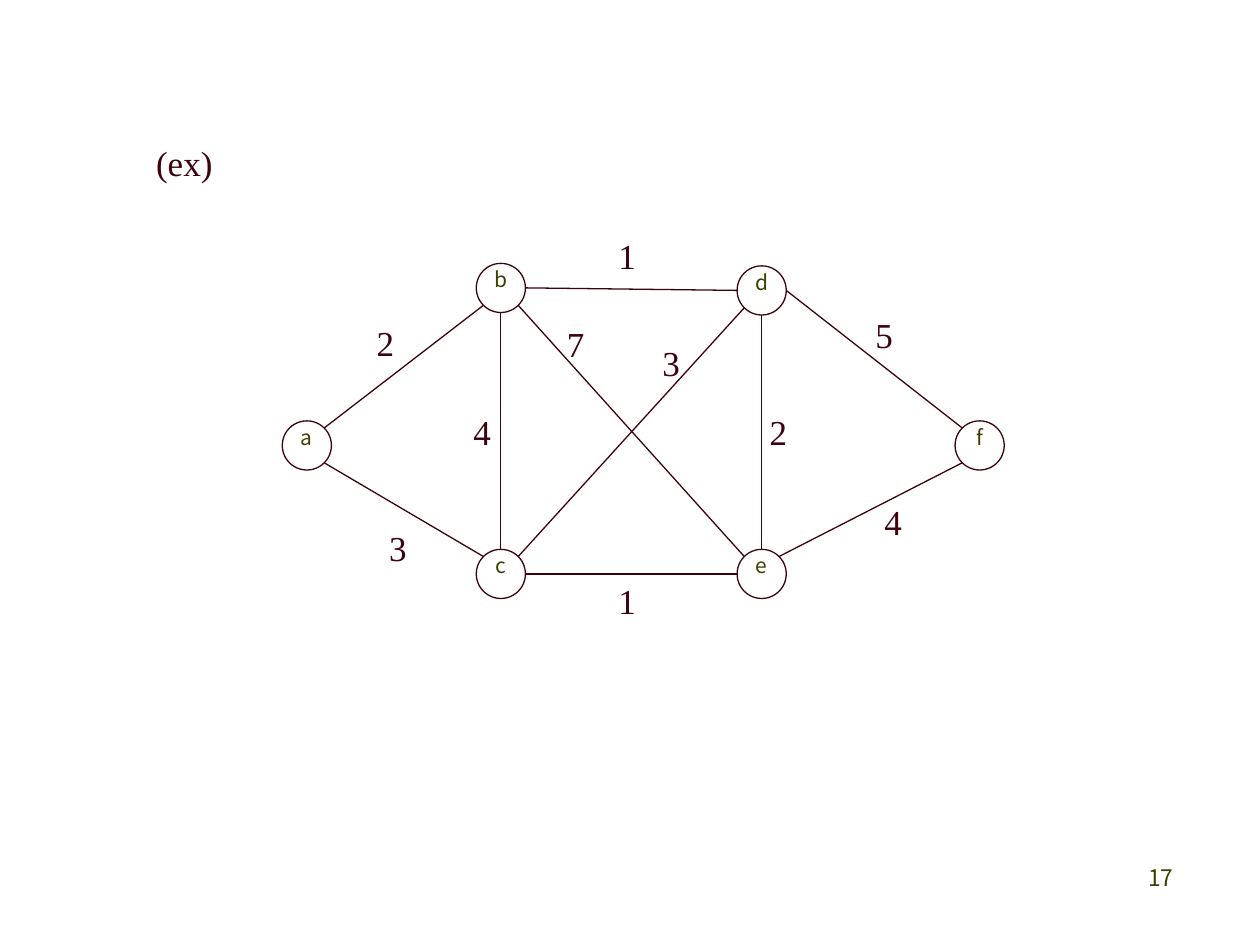
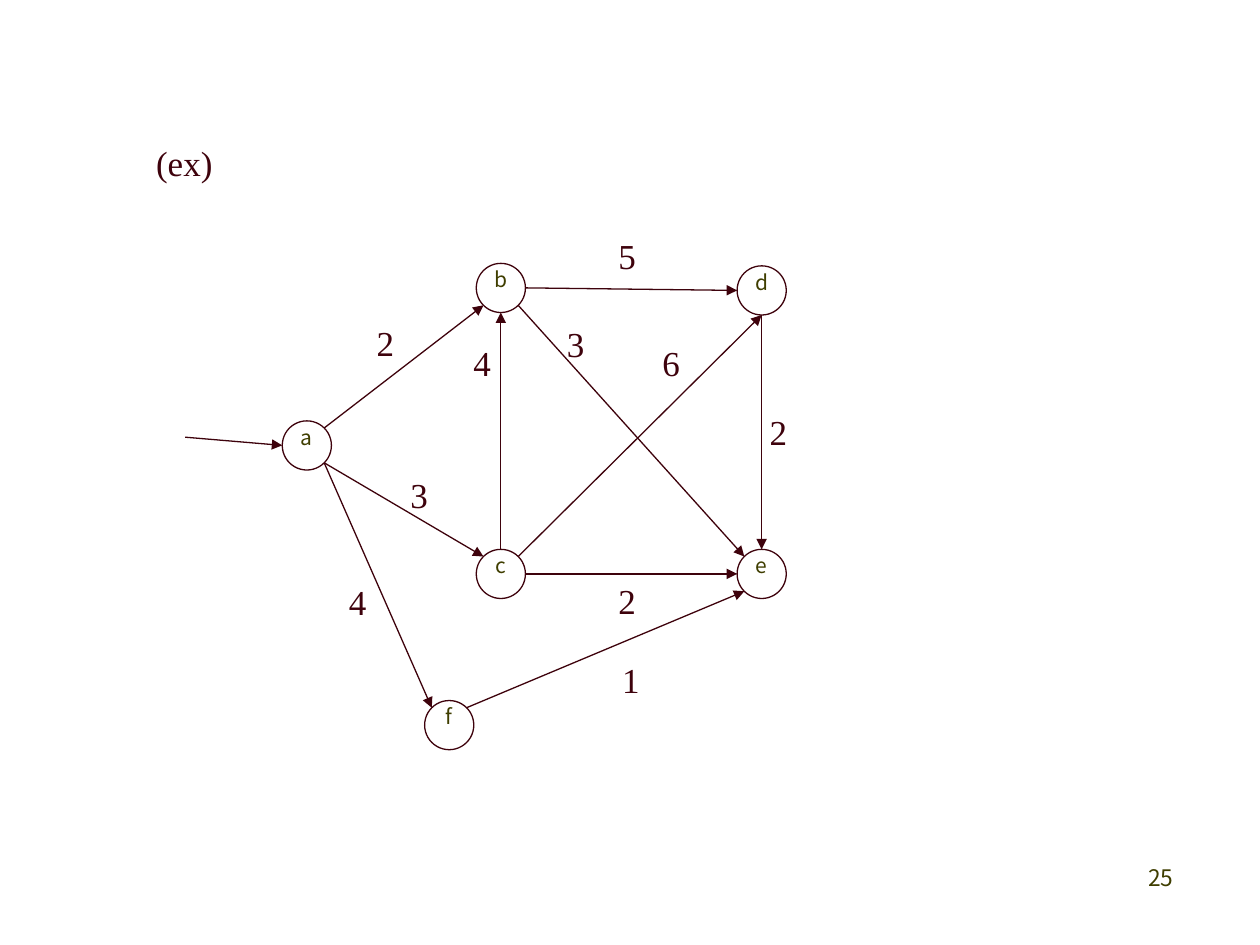
"""Builds two slides that show weighted graphs."""
from math import cos, radians, sin

from lxml.etree import SubElement
from pptx import Presentation
from pptx.dml.color import RGBColor
from pptx.enum.shapes import MSO_CONNECTOR, MSO_SHAPE
from pptx.enum.text import MSO_ANCHOR, MSO_AUTO_SIZE, PP_ALIGN
from pptx.oxml.ns import qn
from pptx.util import Inches, Pt

COLOURS = {"ink": "3E020C", "olive": "3F3E00"}
SANS, SERIF = "Noto Sans CJK KR", "Times New Roman"
DIAMETER = 0.39

ANGLES = {"E": 0, "SE": 45, "S": 90, "SW": 135, "W": 180, "NW": 225, "N": 270, "NE": 315}

NODES = {
    "a": (2.24, 3.34),
    "b": (3.78, 2.09),
    "c": (3.78, 4.36),
    "d": (5.85, 2.11),
    "e": (5.85, 4.36),
}

ROUTES = {
    "ab": ("NE", "SW", 2.89, 2.5),
    "ac": ("SE", "NW", 2.99, 4.13),
    "cb": ("N", "S", 3.66, 3.21),
    "bd": ("E", "W", 4.81, 1.81),
    "de": ("S", "N", 6.01, 3.21),
    "ce": ("E", "W", 4.81, 4.55),
    "be": ("SE", "NW", 4.4, 2.51),
    "cd": ("NE", "SW", 5.16, 2.66),
}


def rgb(colour):
    """Return a palette colour."""
    return RGBColor.from_string(COLOURS[colour])


def write(frame, text, size=20, font=SERIF, colour="ink", align=PP_ALIGN.LEFT, spacing=1.0):
    """Write one formatted paragraph into a text frame."""
    paragraph = frame.paragraphs[0]
    paragraph.alignment = align
    paragraph.line_spacing = spacing
    run = paragraph.add_run()
    run.text = text
    run.font.size = Pt(size)
    run.font.name = font
    run.font.color.rgb = rgb(colour)


class GraphDeck:
    """Holds the style of the graphs and the current slide."""

    def __init__(self):
        """Start an empty deck."""
        self.deck = Presentation()
        self.deck.slide_width, self.deck.slide_height = Inches(10), Inches(7.5)
        self.slide = None

    def new_slide(self, number):
        """Add a slide with its caption and page number."""
        self.slide = self.deck.slides.add_slide(self.deck.slide_layouts[6])
        page = self.slide.shapes.add_textbox(Inches(7.33), Inches(6.83), Inches(2.08), Inches(0.5))
        page.text_frame.word_wrap = True
        write(page.text_frame, str(number), size=13, font=SANS, colour="olive",
              align=PP_ALIGN.RIGHT, spacing=0.9)
        self.label("(ex)", 1.14, 1.07, width=0.65)

    def label(self, text, left, top, width=0.34):
        """Add a short unwrapped text."""
        box = self.slide.shapes.add_textbox(Inches(left), Inches(top), Inches(width), Inches(0.44))
        box.text_frame.word_wrap = False
        box.text_frame.auto_size = MSO_AUTO_SIZE.SHAPE_TO_FIT_TEXT
        write(box.text_frame, text)

    def node(self, name, left, top):
        """Add a circle that carries the node name."""
        circle = self.slide.shapes.add_shape(
            MSO_SHAPE.OVAL, Inches(left), Inches(top), Inches(DIAMETER), Inches(DIAMETER))
        circle.shadow.inherit = False
        circle.fill.background()
        circle.line.color.rgb = rgb("ink")
        circle.line.width = Pt(0.75)
        frame = circle.text_frame
        frame.margin_left = frame.margin_right = frame.margin_top = frame.margin_bottom = 0
        frame.vertical_anchor = MSO_ANCHOR.TOP
        write(frame, name, size=12, font=SANS, colour="olive", align=PP_ALIGN.CENTER, spacing=0.85)

    def edge(self, start, end, directed):
        """Draw a line between two points, with an arrowhead if directed."""
        line = self.slide.shapes.add_connector(
            MSO_CONNECTOR.STRAIGHT, *(Inches(value) for value in (*start, *end)))
        line.line.color.rgb = rgb("ink")
        line.line.width = Pt(0.75)
        if directed:
            SubElement(line.line._get_or_add_ln(), qn("a:tailEnd"), type="triangle")
        SubElement(line._element.spPr, qn("a:effectLst"))

    def graph(self, nodes, routes, weights, directed=False, entry=None):
        """Draw nodes, then edges with their weights."""
        def rim(name, side):
            """Return the point of a node's circle on the given side."""
            radius, angle = DIAMETER / 2, radians(ANGLES[side])
            left, top = nodes[name]
            return left + radius * (1 + cos(angle)), top + radius * (1 + sin(angle))

        for name, place in nodes.items():
            self.node(name, *place)
        for (source, target), weight in weights.items():
            leave, arrive, left, top = routes[source + target]
            self.edge(rim(source, leave), rim(target, arrive), directed)
            self.label(str(weight), left, top)
        if entry:
            self.edge(entry, rim("a", "W"), directed)


def main():
    """Build and save both graphs."""
    deck = GraphDeck()

    deck.new_slide(17)
    deck.graph(
        NODES | {"f": (7.58, 3.34)},
        ROUTES | {"ef": ("NE", "SW", 6.92, 3.92), "df": ("E", "NW", 6.85, 2.44)},
        {"ab": 2, "ac": 3, "cb": 4, "bd": 1, "de": 2, "ce": 1, "be": 7, "cd": 3, "ef": 4, "df": 5},
    )

    deck.new_slide(25)
    deck.graph(
        NODES | {"f": (3.37, 5.56)},
        ROUTES | {
            "ac": ("SE", "NW", 3.16, 3.71),
            "cb": ("N", "S", 3.66, 2.66),
            "cd": ("NE", "S", 5.16, 2.66),
            "af": ("SE", "NW", 2.67, 4.56),
            "fe": ("NE", "SW", 4.84, 5.18),
        },
        {"ab": 2, "ac": 3, "cb": 4, "bd": 5, "de": 2, "ce": 2, "be": 3, "cd": 6, "af": 4, "fe": 1},
        directed=True,
        entry=(1.47, 3.47),
    )

    deck.deck.save("out.pptx")


if __name__ == "__main__":
    main()
